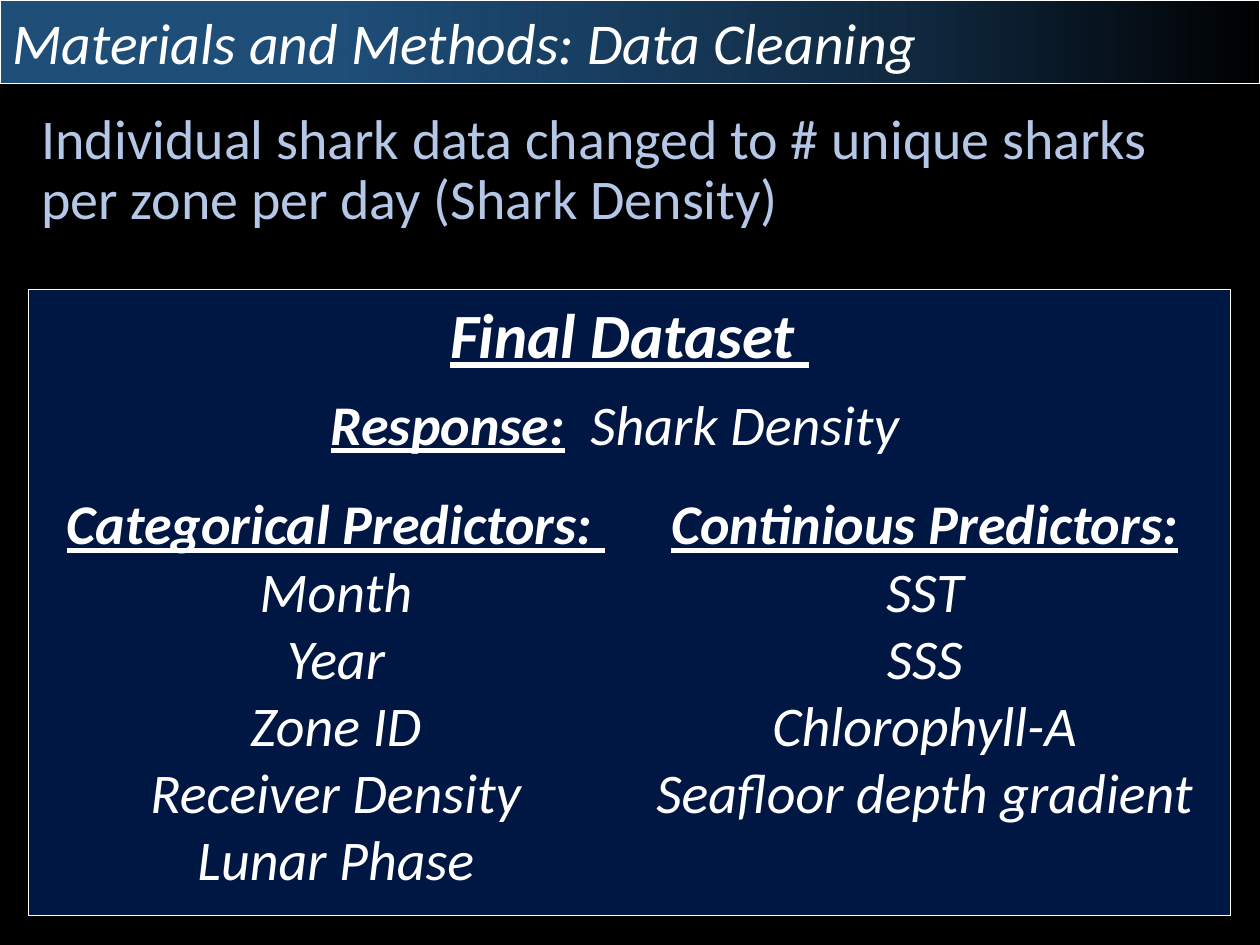
from lxml.etree import SubElement
from pptx import Presentation
from pptx.dml.color import RGBColor
from pptx.enum.shapes import MSO_SHAPE
from pptx.enum.text import MSO_ANCHOR, MSO_AUTO_SIZE, PP_ALIGN
from pptx.oxml.ns import qn
from pptx.util import Cm, Pt

FONT = "Calibri"
WHITE = "FFFFFF"
NAVY = "002060"
STEEL = "1F4E79"
PALE_BLUE = "B4C7E7"
MARGIN = 0.58
PANEL_TOP = 5.84
PANEL_WIDTH = 24.23
COLUMN_LEFT = 0.84
COLUMN_WIDTH = 11.87

TITLE_STOPS = [(0, 100), (27, 100), (51, 75), (74, 50), (100, 0)]
PREDICTORS = [
    ["Categorical Predictors: ", "Month", "Year", "Zone ID",
     "Receiver Density", "Lunar Phase"],
    ["Continious Predictors:", "SST", "SSS", "Chlorophyll-A",
     "Seafloor depth gradient"],
]


def color(value):
    return RGBColor.from_string(value)


def place(shape, left, top, width, height):
    shape.left, shape.top = Cm(left), Cm(top)
    shape.width, shape.height = Cm(width), Cm(height)


def add_alpha(color_element, percent):
    SubElement(color_element, qn("a:alpha"), val=str(percent * 1000))


def outline(shape):
    shape.line.color.rgb = color(WHITE)
    shape.line.width = Pt(0.75)


def style(paragraph, size, value=WHITE, italic=True, align=PP_ALIGN.CENTER):
    paragraph.alignment = align
    font = paragraph.font
    font.name, font.size, font.italic = FONT, Pt(size), italic
    font.color.rgb = color(value)


def add_run(paragraph, text, bold=False, underline=False):
    run = paragraph.add_run()
    run.text = text
    run.font.bold, run.font.underline = bold, underline


def add_text_box(slide, left, top, width, height):
    text_frame = slide.shapes.add_textbox(
        Cm(left), Cm(top), Cm(width), Cm(height)).text_frame
    text_frame.word_wrap = True
    return text_frame


def fill_title(title):
    place(title, 0, 0, 25.4, 1.68)
    title.fill.gradient()
    title.fill.gradient_angle = 0
    stops = title.element.spPr.find(qn("a:gradFill")).find(qn("a:gsLst"))
    for stop in list(stops):
        stops.remove(stop)
    for position, opacity in TITLE_STOPS:
        stop = SubElement(stops, qn("a:gs"), pos=str(position * 1000))
        add_alpha(SubElement(stop, qn("a:srgbClr"), val=STEEL), opacity)
    outline(title)
    text_frame = title.text_frame
    text_frame.text = "Materials and Methods: Data Cleaning"
    text_frame.auto_size = MSO_AUTO_SIZE.NONE
    text_frame.vertical_anchor = MSO_ANCHOR.MIDDLE
    style(text_frame.paragraphs[0], 33, align=PP_ALIGN.LEFT)


def fill_body(body):
    place(body, MARGIN, 2.11, 24.21, 2.62)
    text_frame = body.text_frame
    text_frame.text = ("Individual shark data changed to # unique sharks "
                       "per zone per day (Shark Density)")
    text_frame.auto_size = MSO_AUTO_SIZE.NONE
    paragraph = text_frame.paragraphs[0]
    paragraph.line_spacing = 0.9
    paragraph.space_before = Pt(0)
    properties = paragraph._p.get_or_add_pPr()
    properties.set("marL", "0")
    properties.set("indent", "0")
    SubElement(properties, qn("a:buNone"))
    style(paragraph, 32, PALE_BLUE, italic=False, align=PP_ALIGN.LEFT)


def add_panel(slide):
    panel = slide.shapes.add_shape(
        MSO_SHAPE.RECTANGLE, Cm(MARGIN), Cm(PANEL_TOP), Cm(PANEL_WIDTH), Cm(12.62))
    panel.shadow.inherit = False
    panel.fill.solid()
    panel.fill.fore_color.rgb = color(NAVY)
    solid_fill = panel.element.spPr.find(qn("a:solidFill"))
    add_alpha(solid_fill.find(qn("a:srgbClr")), 70)
    outline(panel)


def add_heading(slide):
    paragraph = add_text_box(
        slide, MARGIN, PANEL_TOP, PANEL_WIDTH, 1.8).paragraphs[0]
    style(paragraph, 36)
    add_run(paragraph, "Final Dataset ", bold=True, underline=True)


def add_response(slide):
    paragraph = add_text_box(slide, 6.05, 7.72, 12.7, 1.63).paragraphs[0]
    style(paragraph, 32)
    add_run(paragraph, "Response:", bold=True, underline=True)
    add_run(paragraph, "  ", bold=True)
    add_run(paragraph, "Shark Density")


def add_predictors(slide, column, lines):
    text_frame = add_text_box(
        slide, COLUMN_LEFT + column * COLUMN_WIDTH, 9.73, COLUMN_WIDTH, 8.5)
    for index, line in enumerate(lines):
        is_heading = index == 0
        paragraph = text_frame.paragraphs[0] if is_heading else text_frame.add_paragraph()
        style(paragraph, 32)
        add_run(paragraph, line, bold=is_heading, underline=is_heading)


def main():
    presentation = Presentation()
    presentation.slide_width, presentation.slide_height = Cm(25.4), Cm(19.05)
    slide = presentation.slides.add_slide(presentation.slide_layouts[1])
    slide.background.fill.solid()
    slide.background.fill.fore_color.rgb = color("000000")
    fill_title(slide.shapes.title)
    fill_body(slide.placeholders[1])
    add_panel(slide)
    add_heading(slide)
    add_response(slide)
    for column, lines in enumerate(PREDICTORS):
        add_predictors(slide, column, lines)
    presentation.save("out.pptx")


if __name__ == "__main__":
    main()
